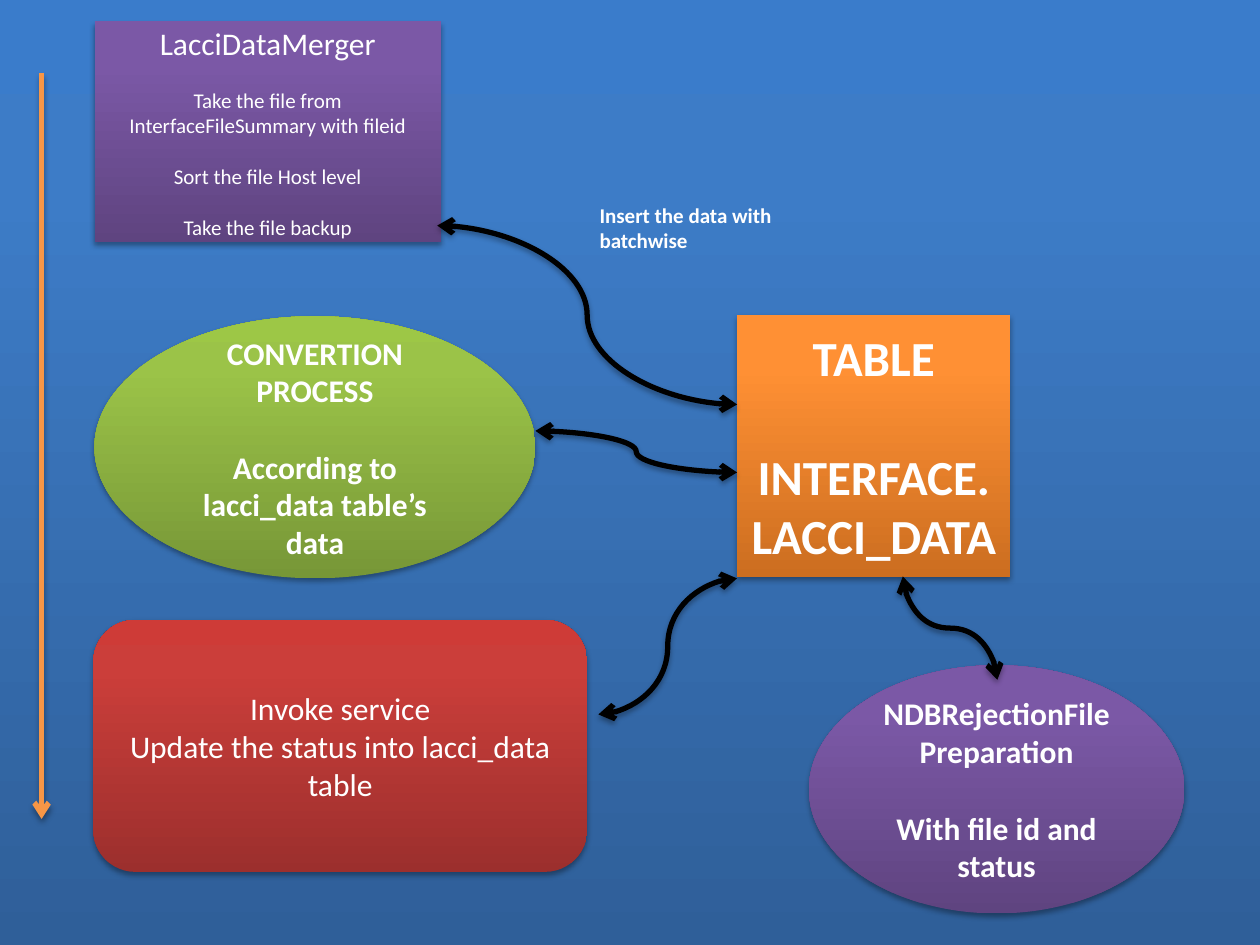
from pptx import Presentation
from pptx.dml.color import RGBColor
from pptx.enum import shapes, text
from pptx.oxml import parse_xml
from pptx.oxml.ns import nsdecls, qn
from pptx.util import Inches, Pt

WHITE = RGBColor(0xFF, 0xFF, 0xFF)
BLACK = RGBColor(0, 0, 0)
AMBER = RGBColor(0xF7, 0x96, 0x46)

# Gradient stops at 0, 80 and 100 percent, from bottom to top
BLUE = [RGBColor.from_string(c) for c in ("2F5F99", "3D7CC7", "3A7CCB")]
ORANGE = [RGBColor.from_string(c) for c in ("CC6E20", "FF9034", "FF9136")]
PURPLE = [RGBColor.from_string(c) for c in ("5F4480", "7B58A6", "7C57A8")]
GREEN = [RGBColor.from_string(c) for c in ("779737", "9BC348", "9DC746")]
RED = [RGBColor.from_string(c) for c in ("9C2F2D", "CB3E3A", "CE3B37")]

KIND = shapes.MSO_SHAPE
LINK = shapes.MSO_CONNECTOR
LINE = 1.22  # height of a Calibri line, in font sizes


def cast(props):
    """Give a shape or connector a soft shadow straight below it."""
    props.append(parse_xml(
        f'<a:effectLst {nsdecls("a")}><a:outerShdw blurRad="40000" dist="23000" '
        'dir="5400000" rotWithShape="0"><a:srgbClr val="000000">'
        '<a:alpha val="35000"/></a:srgbClr></a:outerShdw></a:effectLst>'))


def write(frame, rows, bold, align):
    """Fill a frame with rows of (text, size, blank lines above)."""
    frame.word_wrap = True
    for i, (words, size, gap) in enumerate(rows):
        para = frame.add_paragraph() if i else frame.paragraphs[0]
        para.text = words
        para.alignment = align
        para.space_before = Pt(round(gap * size * LINE, 1))
        font = para.runs[0].font
        font.name, font.size, font.bold = "Calibri", Pt(size), bold
        font.color.rgb = WHITE


deck = Presentation()
deck.slide_width, deck.slide_height = Inches(10), Inches(7.5)
slide = deck.slides.add_slide(deck.slide_layouts[6])

# Filled boxes: kind, place, gradient, bold, rows
boxes = [
    (KIND.RECTANGLE, (0, 0, 10, 7.5), BLUE, False, []),
    (KIND.RECTANGLE, (5.85, 2.5, 2.17, 2.08), ORANGE, True,
     [("TABLE", 28, 0), ("INTERFACE.LACCI_DATA", 28, 1)]),
    (KIND.RECTANGLE, (0.75, 0.17, 2.75, 1.75), PURPLE, False,
     [("LacciDataMerger", 18, 0), ("Take the file from", 12, 1),
      ("InterfaceFileSummary with fileid", 12, 0),
      ("Sort the file Host level", 12, 1), ("Take the file backup", 12, 1)]),
    (KIND.OVAL, (0.75, 2.51, 3.5, 2.08), GREEN, True,
     [("CONVERTION PROCESS", 18, 0),
      ("According to lacci_data table’s data", 18, 1)]),
    (KIND.ROUNDED_RECTANGLE, (0.74, 4.92, 3.92, 2), RED, False,
     [("Invoke service", 18, 0),
      ("Update the status into lacci_data table", 18, 0)]),
    (KIND.OVAL, (6.42, 5.28, 2.98, 1.97), PURPLE, True,
     [("NDBRejectionFilePreparation", 18, 0),
      ("With file id and status", 18, 1)]),
]
for kind, place, tones, bold, rows in boxes:
    box = slide.shapes.add_shape(kind, *map(Inches, place))
    box.line.fill.background()
    stops = "".join(f'<a:gs pos="{pos}"><a:srgbClr val="{tone}"/></a:gs>'
                    for pos, tone in zip((0, 80000, 100000), tones))
    props = box.element.spPr
    props.find(qn("a:ln")).addprevious(parse_xml(
        f'<a:gradFill {nsdecls("a")} rotWithShape="1"><a:gsLst>{stops}</a:gsLst>'
        '<a:lin ang="16200000" scaled="0"/></a:gradFill>'))
    cast(props)
    box.text_frame.vertical_anchor = text.MSO_ANCHOR.MIDDLE
    write(box.text_frame, rows, bold, text.PP_ALIGN.CENTER)

note = slide.shapes.add_textbox(*map(Inches, (4.66, 1.56, 1.59, 0.5)))
write(note.text_frame, [("Insert the data with batchwise", 12, 0)], True,
      text.PP_ALIGN.LEFT)

# Arrows: kind, ends before turning, turn in degrees, colour, heads
both = ("headEnd", "tailEnd")
arrows = [
    (LINK.CURVE, (3.47, 1.79, 5.85, 3.21), 0, BLACK, both),
    (LINK.CURVE, (4.25, 3.42, 5.85, 3.75), 0, BLACK, both),
    (LINK.CURVE, (5.85, 4.59, 4.75, 5.67), 0, BLACK, both),
    (LINK.CURVE, (7.95, 4.61, 7.13, 5.36), 270, BLACK, both),
    (LINK.STRAIGHT, (0.33, 0.58, 0.33, 6.5), 0, AMBER, ("tailEnd",)),
]
for kind, ends, turn, tone, heads in arrows:
    arrow = slide.shapes.add_connector(kind, *map(Inches, ends))
    arrow.line.color.rgb = tone
    arrow.line.width = Pt(3)
    props = arrow.element.spPr
    if turn:
        props.find(qn("a:xfrm")).set("rot", str(turn * 60000))
    for head in heads:
        props.find(qn("a:ln")).append(
            parse_xml(f'<a:{head} {nsdecls("a")} type="arrow"/>'))
    cast(props)

deck.save("out.pptx")
